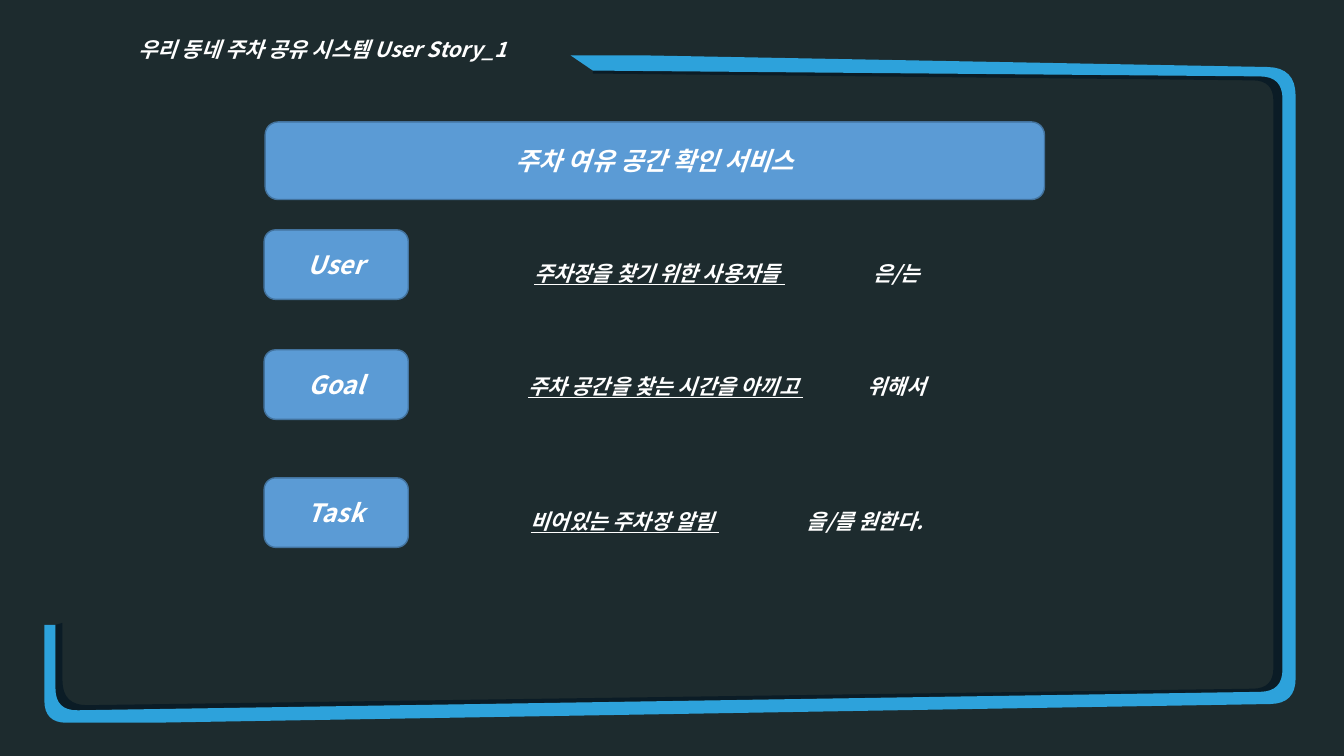
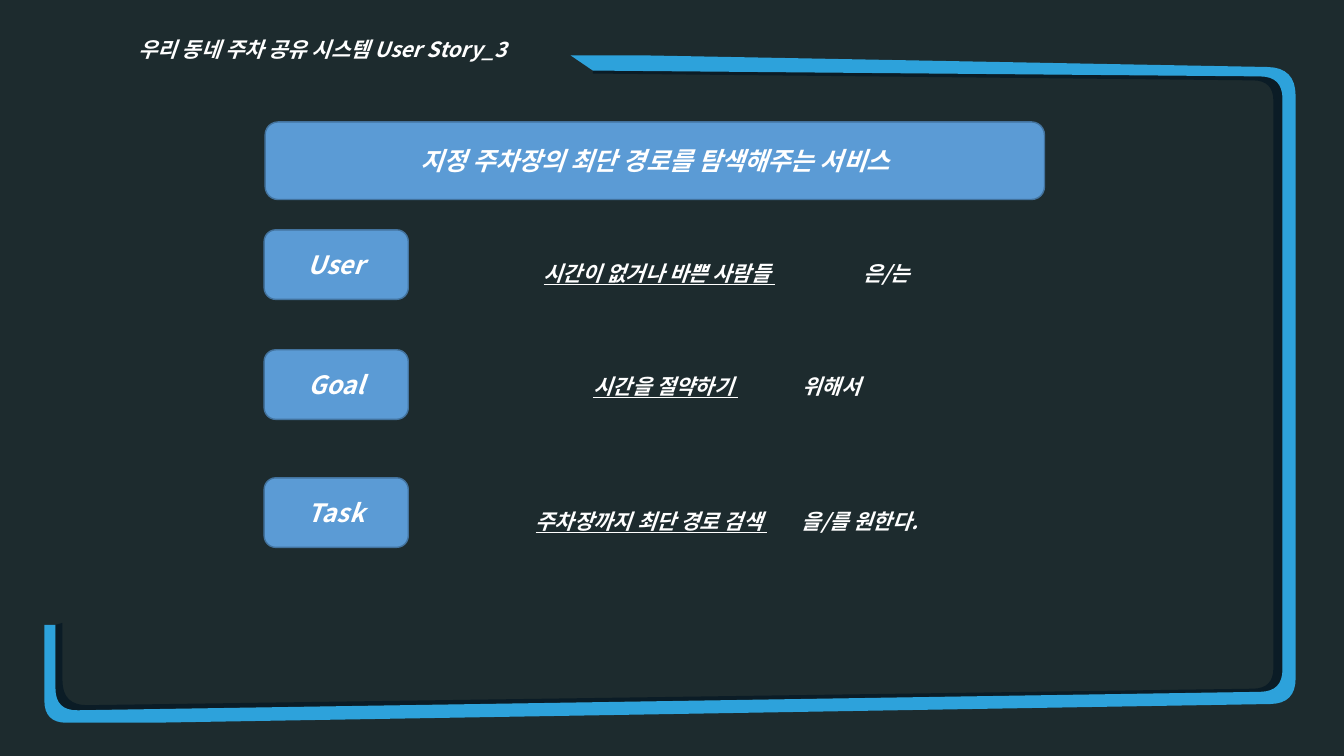
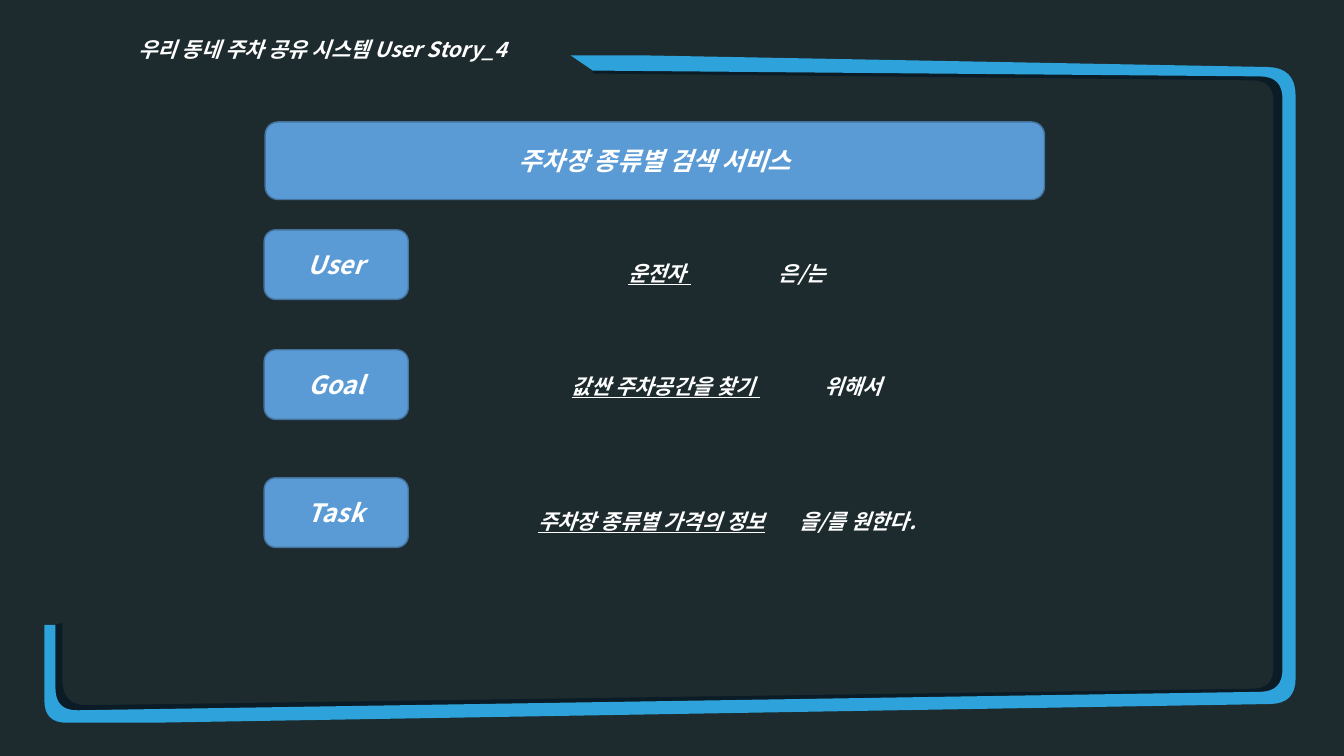
from lxml import etree
from pptx import Presentation
from pptx.dml.color import RGBColor
from pptx.enum import shapes, text
from pptx.oxml import ns
from pptx.util import Inches, Pt

BACKGROUND = RGBColor(0x1D, 0x2B, 0x2E)
FRAME_BLUE = RGBColor(0x2D, 0xA2, 0xDB)
FRAME_SHADE = RGBColor(0x0B, 0x1C, 0x26)
BOX_BLUE = RGBColor(0x5B, 0x9B, 0xD5)
BOX_EDGE = RGBColor(0x43, 0x73, 0x9E)
WHITE = RGBColor(0xFF, 0xFF, 0xFF)
FONT = "Noto Sans CJK KR"
SPACE_WIDTH = 4.25  # points, at body size

# Edges of the frame in inches: x, y, corner radius
OUTER_EDGE = [(5.66, 0.55, 0), (6.42, 0.55, 0), (12.85, 0.67, 0.28),
              (12.85, 6.98, 0.25), (1.5, 7.17, 0), (0.44, 7.17, 0.22),
              (0.44, 6.2, 0)]
MIDDLE_EDGE = [(5.88, 0.7, 0), (12.72, 0.76, 0.22), (12.72, 6.86, 0.22),
               (0.55, 7.05, 0.22), (0.55, 6.2, 0)]
INNER_EDGE = [(5.88, 0.73, 0), (12.63, 0.8, 0.2), (12.63, 6.83, 0.2),
              (0.62, 7, 0.25), (0.62, 6.18, 0)]

# Label, top of its box, top of its sentence
ROWS = [("User", 2.28, 2.41), ("Goal", 3.47, 3.53), ("Task", 4.74, 4.87)]

# Number, service, then phrase, gap in spaces and ending for each row
STORIES = [
    (1, "주차 여유 공간 확인 서비스",
     [("주차장을 찾기 위한 사용자들 ", 15, "은/는"),
      ("주차 공간을 찾는 시간을 아끼고 ", 11, "위해서"),
      ("비어있는 주차장 알림 ", 15, "을/를 원한다.")]),
    (3, "지정 주차장의 최단 경로를 탐색해주는 서비스",
     [("시간이 없거나 바쁜 사람들 ", 15, "은/는"),
      ("시간을 절약하기 ", 11, "위해서"),
      ("주차장까지 최단 경로 검색 ", 6, "을/를 원한다.")]),
    (4, "주차장 종류별 검색 서비스",
     [("운전자 ", 15, "은/는"),
      ("값싼 주차공간을 찾기 ", 11, "위해서"),
      ("주차장 종류별 가격의 정보", 6, "을/를 원한다.")]),
]


def style_paragraph(para, size):
    """Give a paragraph the shared centred, bold italic white type."""
    para.alignment = text.PP_ALIGN.CENTER
    font = para.font
    font.size, font.bold, font.italic = Pt(size), True, True
    font.color.rgb = WHITE
    font.name = FONT
    etree.SubElement(font._element, ns.qn("a:ea")).set("typeface", FONT)


def style_line(frame):
    """Set up a text frame that holds one widely spaced line."""
    frame.word_wrap = True
    frame.auto_size = text.MSO_AUTO_SIZE.SHAPE_TO_FIT_TEXT
    frame.vertical_anchor = text.MSO_ANCHOR.TOP
    para = frame.paragraphs[0]
    para.line_spacing = 1.5
    style_paragraph(para, 15)
    return para


def round_corners(edge, steps=8):
    """Return the points of an edge, as lengths, with its corners rounded."""
    points = []
    for index, (x, y, radius) in enumerate(edge):
        if not radius:
            points.append((x, y))
            continue
        ends = []
        for near_x, near_y, _ in (edge[index - 1], edge[index + 1]):
            share = radius / ((near_x - x) ** 2 + (near_y - y) ** 2) ** 0.5
            ends.append((x + (near_x - x) * share, y + (near_y - y) * share))
        (start_x, start_y), (end_x, end_y) = ends
        for step in range(steps + 1):
            t = step / steps
            a, b, c = (1 - t) ** 2, 2 * t * (1 - t), t ** 2
            points.append((a * start_x + b * x + c * end_x,
                           a * start_y + b * y + c * end_y))
    return [(Inches(x), Inches(y)) for x, y in points]


def add_band(page, edge, other_edge, color):
    """Fill the band between two edges of the frame."""
    points = round_corners(edge) + round_corners(other_edge)[::-1]
    builder = page.shapes.build_freeform(*points[0])
    builder.add_line_segments(points[1:], close=True)
    band = builder.convert_to_shape()
    band.shadow.inherit = False
    band.fill.solid()
    band.fill.fore_color.rgb = color
    band.line.fill.background()


def add_frame(page):
    """Draw the open frame with its shaded inner side."""
    add_band(page, MIDDLE_EDGE, INNER_EDGE, FRAME_SHADE)
    add_band(page, OUTER_EDGE, MIDDLE_EDGE, FRAME_BLUE)


def set_title(page, words, left, top, width, height):
    """Place and format the title placeholder."""
    title = page.shapes.title
    title.left, title.top = Inches(left), Inches(top)
    title.width, title.height = Inches(width), Inches(height)
    title.text_frame.text = words
    style_line(title.text_frame)


def add_box(page, words, left, top, width, height):
    """Add a rounded blue box with centred text."""
    box = page.shapes.add_shape(
        shapes.MSO_SHAPE.ROUNDED_RECTANGLE,
        Inches(left), Inches(top), Inches(width), Inches(height))
    box.shadow.inherit = False
    box.fill.solid()
    box.fill.fore_color.rgb = BOX_BLUE
    box.line.color.rgb = BOX_EDGE
    box.line.width = Pt(1)
    box.text_frame.text = words
    box.text_frame.vertical_anchor = text.MSO_ANCHOR.MIDDLE
    style_paragraph(box.text_frame.paragraphs[0], 18)


def add_sentence(page, sentence, left, top, width, height):
    """Add an underlined phrase, a wide space and the sentence ending."""
    phrase, gap, ending = sentence
    box = page.shapes.add_textbox(
        Inches(left), Inches(top), Inches(width), Inches(height))
    para = style_line(box.text_frame)
    for words in (phrase, " ", ending):
        span = para.add_run()
        span.text = words
        span.font.underline = words == phrase
        if words == " ":
            spacing = round((gap - 1) * SPACE_WIDTH * 100)
            span.font._element.set("spc", str(spacing))


def add_story(deck, number, service, sentences):
    """Add one user story slide."""
    page = deck.slides.add_slide(deck.slide_layouts[5])
    add_frame(page)
    set_title(page, f"우리 동네 주차 공유 시스템 User Story_{number}",
              -0.09, 0.19, 6.58, 0.43)
    add_box(page, service, 2.63, 1.21, 7.73, 0.77)
    for (label, box_top, line_top), sentence in zip(ROWS, sentences):
        add_box(page, label, 2.62, box_top, 1.43, 0.69)
        add_sentence(page, sentence, 3.92, line_top, 6.58, 0.43)


def main():
    """Build and save the deck."""
    deck = Presentation()
    deck.slide_width, deck.slide_height = Inches(13.33), Inches(7.5)
    backdrop = deck.slide_master.background.fill
    backdrop.solid()
    backdrop.fore_color.rgb = BACKGROUND
    for story in STORIES:
        add_story(deck, *story)
    deck.save("out.pptx")


main()
